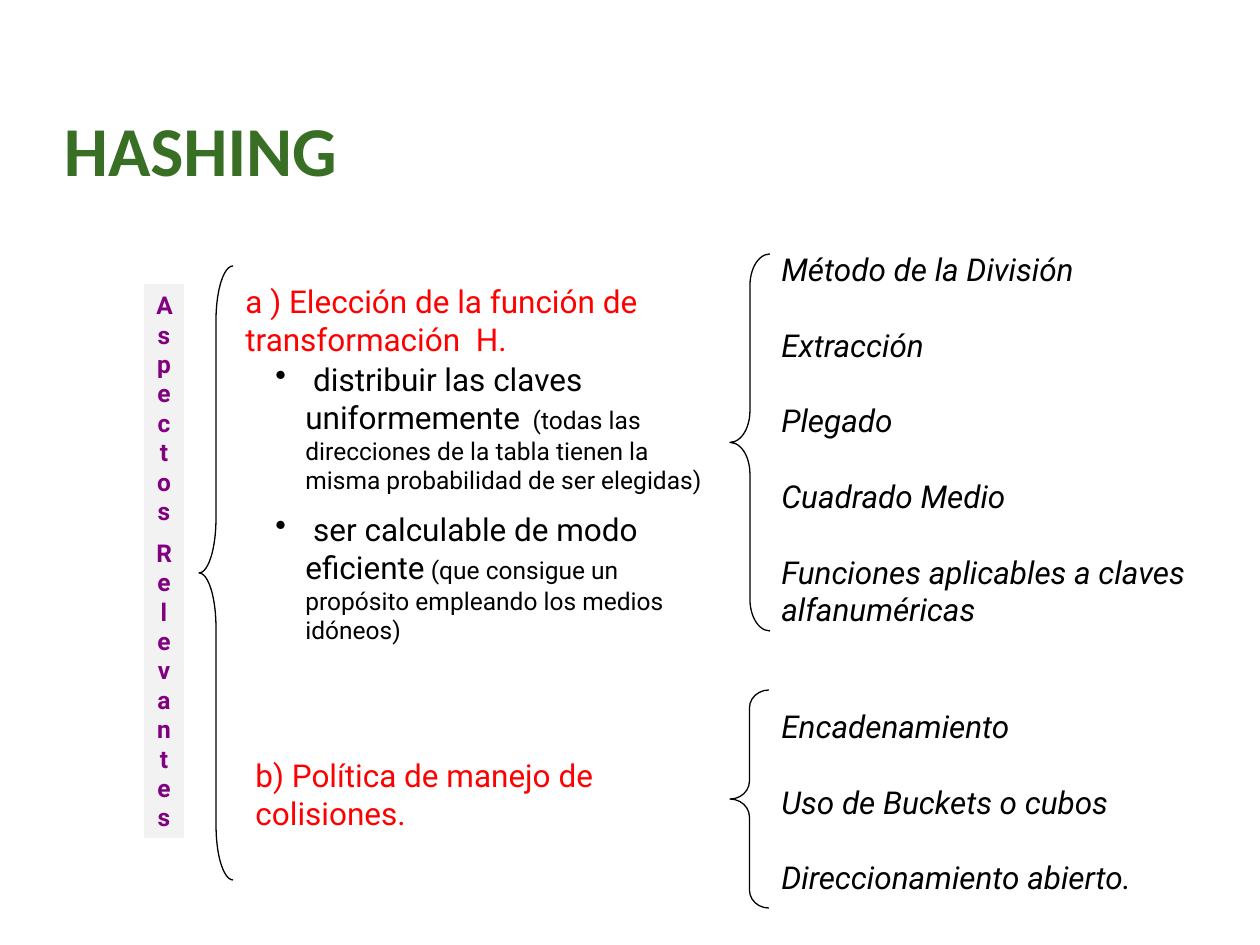
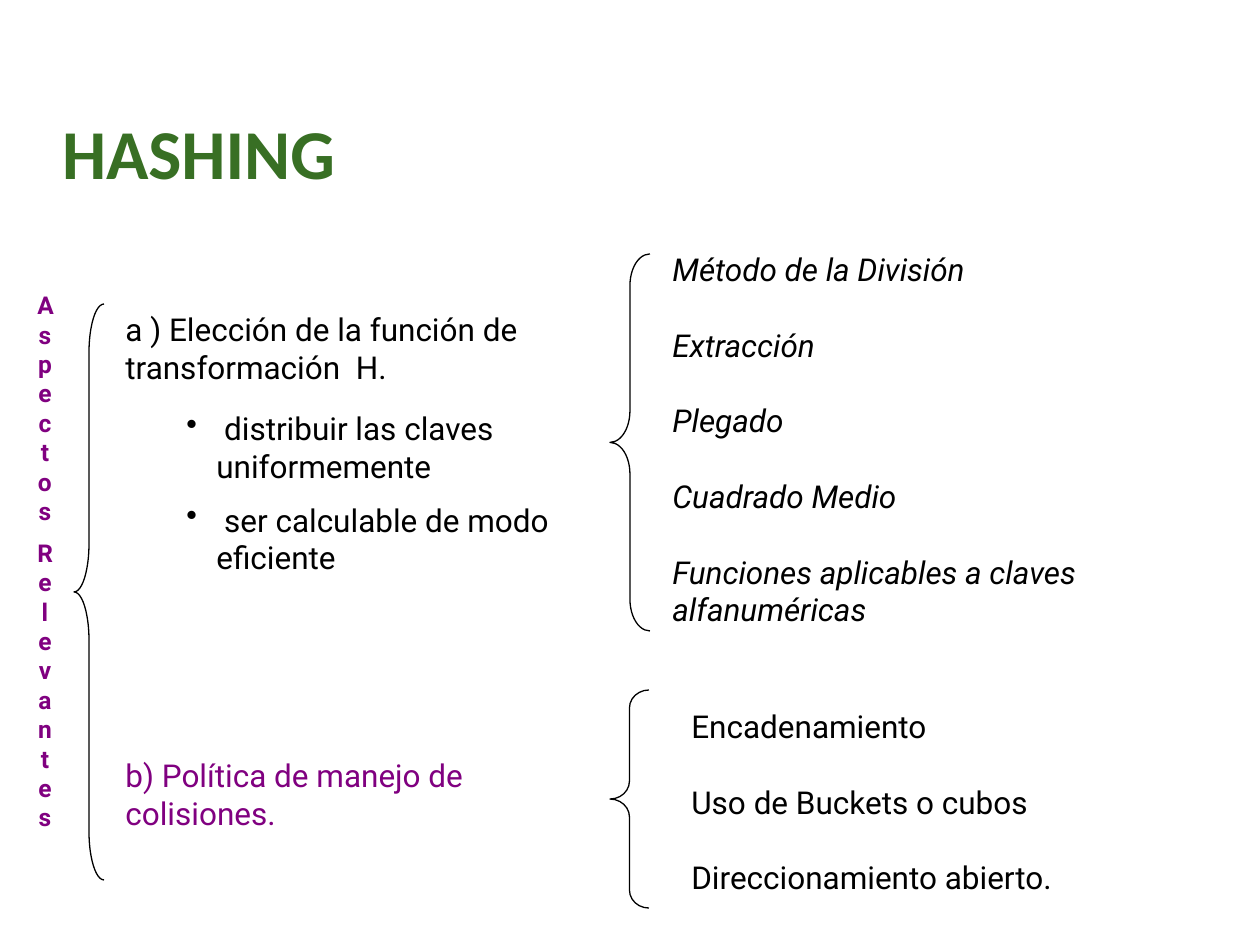
import pptx
import pptx.util
import pptx.dml.color
import pptx.enum.shapes
import pptx.enum.text
import pptx.oxml.ns
import lxml.etree

# Shared look: lengths in px, 126 to the inch
SCALE = 914400 / 126
HUE = {"green": "386F24", "plum": "800080", "red": "FF0000",
       "black": "000000", "pale": "F2F2F2"}
ALIGN = pptx.enum.text.PP_ALIGN

# Content
TITLE = "HASHING"
ASPECTS = ["Aspectos", "Relevantes"]
CHOICE = ["a ) Elección de la función de transformación  H."]
POLICY = ["b) Política de manejo de colisiones."]
METHODS = ["Método de la División", "Extracción", "Plegado", "Cuadrado Medio",
           "Funciones aplicables a claves alfanuméricas"]
CLASHES = ["Encadenamiento", "Uso de Buckets o cubos",
           "Direccionamiento abierto."]
EM = " "  # one em space sets off each goal from its bullet
GOALS = [EM + "distribuir las claves uniformemente",
         EM + "ser calculable de modo eficiente"]
NOTES = ["  (todas las direcciones de la tabla tienen la misma "
         "probabilidad de ser elegidas)",
         " (que consigue un propósito empleando los medios idóneos)"]

# Each place is (left, top); a goal is a pair of main text and small note
SLIDES = [
    {"title": (64, 106), "aspects": (144, 284), "fill": "pale",
     "choice": (233, 276), "choice_hue": "red",
     "policy": (243, 750), "policy_hue": "red",
     "goals": (263, 354, 456, 273), "items": list(zip(GOALS, NOTES)),
     "methods": 769, "clashes": 769, "slant": True,
     "main": (199, 266, 34, 614), "braces": 730},
    {"title": (62, 110), "aspects": (25, 284), "fill": None,
     "choice": (113, 304), "choice_hue": "black",
     "policy": (113, 750), "policy_hue": "plum",
     "goals": (174, 403, 456, 183), "items": [(goal, "") for goal in GOALS],
     "methods": 660, "clashes": 679, "slant": False,
     "main": (74, 304, 30, 576), "braces": 610},
]


def px(num):
    return pptx.util.Emu(round(num * SCALE))


def color(name):
    return pptx.dml.color.RGBColor.from_string(HUE[name])


def place(shape, box):
    shape.left, shape.top, shape.width, shape.height = map(px, box)


def write(frame, paras, size=18, font="Roboto", hue="black", bold=False,
          slant=False, align=ALIGN.LEFT, gap=0, bullet=False, small=14):
    """Fill a frame; a pair in paras is main text plus a small note."""
    frame.word_wrap = True
    frame.vertical_anchor = pptx.enum.text.MSO_ANCHOR.TOP
    for num, item in enumerate(paras):
        para = frame.add_paragraph() if num else frame.paragraphs[0]
        para.alignment = align
        para.space_before = pptx.util.Pt(gap if num else 0)
        if bullet:
            props = para._p.get_or_add_pPr()
            props.set("marL", str(px(30)))
            props.set("indent", str(px(-30)))
            mark = lxml.etree.SubElement(props, pptx.oxml.ns.qn("a:buChar"))
            mark.set("char", "•")
        parts = (item,) if isinstance(item, str) else item
        for text, points in zip(parts, (size, small)):
            if text:
                run = para.add_run()
                run.text = text
                run.font.size = pptx.util.Pt(points)
                run.font.name = font
                run.font.bold = bold
                run.font.italic = slant
                run.font.color.rgb = color(hue)


def label(slide, box, paras, fill=None, **style):
    shape = slide.shapes.add_textbox(*map(px, box))
    if fill:
        shape.fill.solid()
        shape.fill.fore_color.rgb = color(fill)
    write(shape.text_frame, paras, **style)


def brace(slide, box, curve):
    kind = pptx.enum.shapes.MSO_SHAPE.LEFT_BRACE
    shape = slide.shapes.add_shape(kind, *map(px, box))
    shape.adjustments[0] = curve
    shape.adjustments[1] = 0.5
    shape.shadow.inherit = False
    shape.fill.background()
    shape.line.color.rgb = color("black")
    shape.line.width = pptx.util.Pt(0.75)


def build(deck, plan):
    slide = deck.slides.add_slide(deck.slide_layouts[5])

    # Title
    head = slide.shapes.title
    place(head, (*plan["title"], 1138, 84))
    frame = head.text_frame
    frame.margin_left = frame.margin_right = 0
    frame.margin_top = frame.margin_bottom = 0
    write(frame, [TITLE], size=40, font="Calibri", hue="green", bold=True)

    # Narrow column that stacks its letters
    label(slide, (*plan["aspects"], 40, 554), ASPECTS, fill=plan["fill"],
          size=14, hue="plum", bold=True, align=ALIGN.CENTER, gap=7)

    # The two aspects and the goals of the first
    label(slide, (*plan["choice"], 486, 88), CHOICE, hue=plan["choice_hue"])
    label(slide, (*plan["policy"], 407, 88), POLICY, hue=plan["policy_hue"])
    label(slide, plan["goals"], plan["items"], bullet=True, gap=9)

    # Lists on the right, one line apart
    label(slide, (plan["methods"], 244, 556, 391), METHODS,
          slant=True, gap=21.6)
    label(slide, (plan["clashes"], 701, 556, 202), CLASHES,
          slant=plan["slant"], gap=21.6)

    # Braces
    brace(slide, plan["main"], 1.61)
    brace(slide, (plan["braces"], 254, 40, 377), 0.79)
    brace(slide, (plan["braces"], 690, 39, 218), 0.46)


def main():
    deck = pptx.Presentation()
    deck.slide_width, deck.slide_height = px(1260), px(945)
    for plan in SLIDES:
        build(deck, plan)
    deck.save("out.pptx")


if __name__ == "__main__":
    main()
